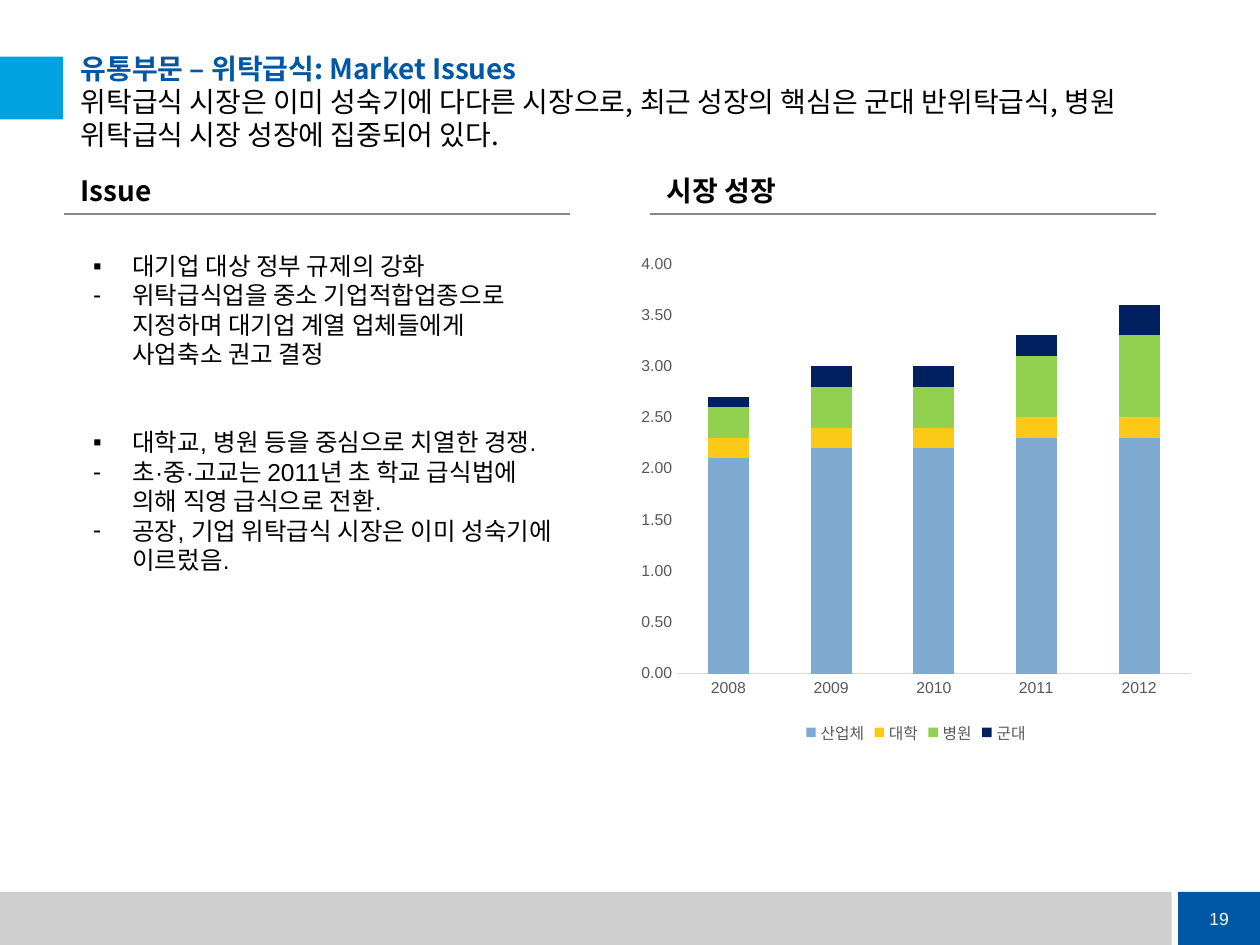
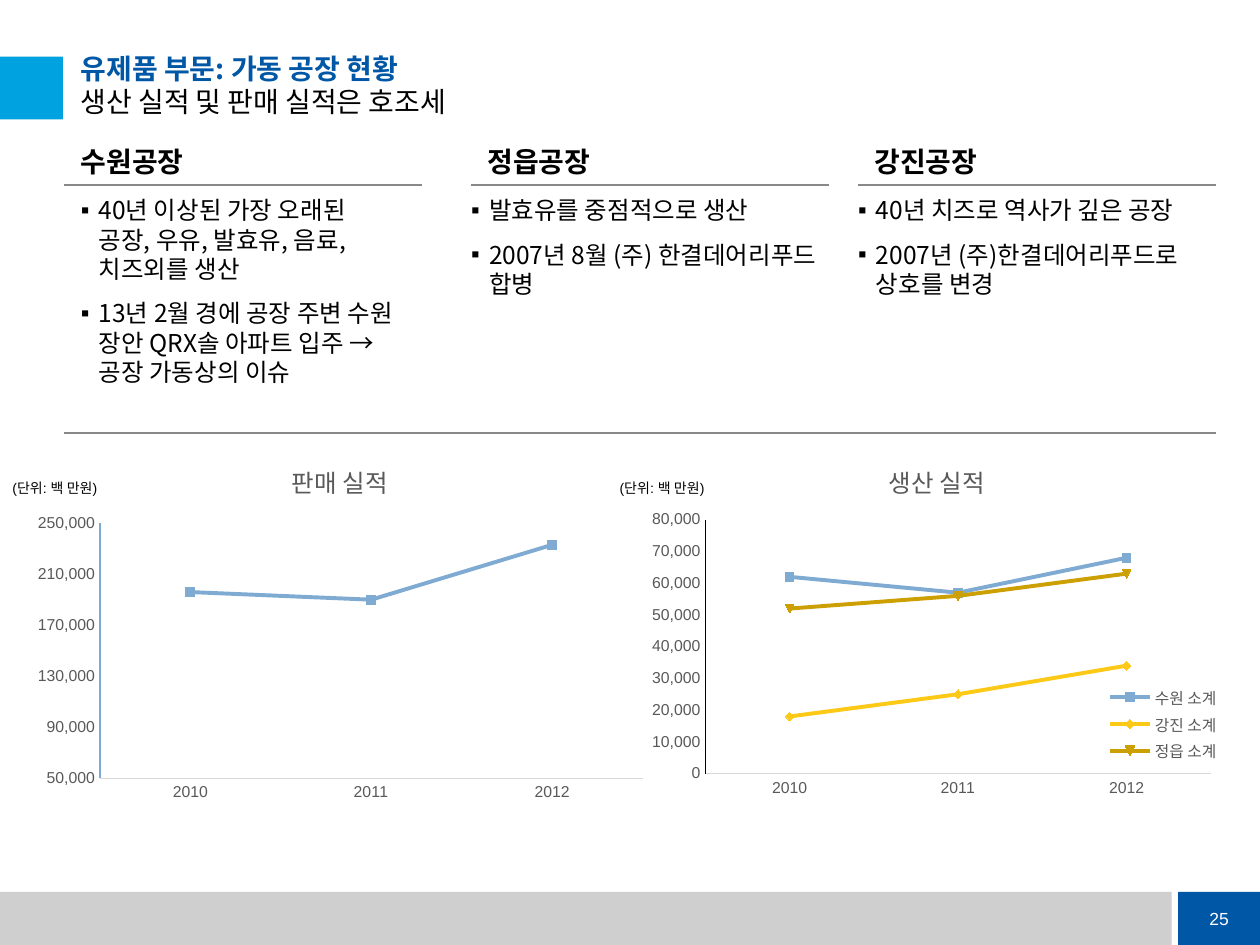
from lxml import etree
from pptx import Presentation
from pptx.chart.data import CategoryChartData
from pptx.dml.color import RGBColor
from pptx.enum.chart import XL_CHART_TYPE, XL_LEGEND_POSITION, XL_TICK_MARK
from pptx.enum.shapes import MSO_CONNECTOR, MSO_SHAPE
from pptx.enum.text import MSO_ANCHOR, PP_ALIGN
from pptx.oxml.ns import qn
from pptx.util import Cm, Pt

STACKED, LINE = XL_CHART_TYPE.COLUMN_STACKED, XL_CHART_TYPE.LINE
BOTTOM, RIGHT = XL_LEGEND_POSITION.BOTTOM, XL_LEGEND_POSITION.RIGHT
NO_TICK = XL_TICK_MARK.NONE
STRAIGHT, RECTANGLE = MSO_CONNECTOR.STRAIGHT, MSO_SHAPE.RECTANGLE
TOP, MIDDLE = MSO_ANCHOR.TOP, MSO_ANCHOR.MIDDLE
LEFT, CENTER = PP_ALIGN.LEFT, PP_ALIGN.CENTER

KOREAN, LATIN = "Noto Sans CJK KR", "Arial"
BLACK, WHITE, NAVY, SKY = "000000", "FFFFFF", "0057A6", "00A2DF"
BAND, RULE, LABEL, AXIS = "CFCFCF", "888888", "595959", "D9D9D9"
STEEL, YELLOW, GOLD, GREEN, MIDNIGHT = "7FABD2", "FCC917", "CC9F03", "92D050", "002060"
UNIT = "(단위: 백 만원)"


def color(value):
    """Turn a hex string into a colour."""
    return RGBColor.from_string(value)


class Deck:
    """Holds the shared style and the current slide."""

    def __init__(self):
        self.presentation = Presentation()
        self.presentation.slide_width = Cm(25.4)
        self.presentation.slide_height = Cm(19.05)
        self.slide = None

    def new_slide(self, number, topic, message):
        """Start a slide with its bands, page number and two-line title."""
        self.slide = self.presentation.slides.add_slide(self.presentation.slide_layouts[6])
        self.rectangle(0, 17.98, 23.62, 1.07, BAND)
        page = self.rectangle(23.75, 17.98, 1.65, 1.07, NAVY).text_frame
        page.word_wrap = False
        page.vertical_anchor = MIDDLE
        page.paragraphs[0].alignment = CENTER
        self.run(page.paragraphs[0], number, 10, WHITE, font=LATIN)
        self.rectangle(0, 1.14, 1.27, 1.27, SKY)
        title = self.text_frame(1.63, 1.04, 22.1, 1.68).paragraphs[0]
        title.line_spacing = Pt(19)
        self.run(title, topic, 16, NAVY, bold=True)
        title.add_line_break()
        self.run(title, message, 16)

    def rectangle(self, left, top, width, height, fill):
        """Add a plain filled rectangle."""
        shape = self.slide.shapes.add_shape(RECTANGLE, Cm(left), Cm(top), Cm(width), Cm(height))
        shape.shadow.inherit = False
        shape.fill.solid()
        shape.fill.fore_color.rgb = color(fill)
        shape.line.fill.background()
        return shape

    def text_frame(self, left, top, width, height, anchor=TOP, inset=(0, 0)):
        """Add a wrapping text box and return its frame."""
        box = self.slide.shapes.add_textbox(Cm(left), Cm(top), Cm(width), Cm(height))
        frame = box.text_frame
        frame.word_wrap = True
        frame.vertical_anchor = anchor
        frame.margin_left = frame.margin_right = Cm(inset[0])
        frame.margin_top = frame.margin_bottom = Cm(inset[1])
        return frame

    def run(self, paragraph, text, size, fill=BLACK, bold=False, font=KOREAN):
        """Add one styled run."""
        run = paragraph.add_run()
        run.text = text
        run.font.size = Pt(size)
        run.font.bold = bold
        run.font.color.rgb = color(fill)
        run.font.name = font
        properties = run.font._element
        etree.SubElement(properties, qn("a:ea")).set("typeface", KOREAN)

    def rule(self, left, top, width):
        """Add a horizontal grey line."""
        line = self.slide.shapes.add_connector(
            STRAIGHT, Cm(left), Cm(top), Cm(left + width), Cm(top))
        line.line.color.rgb = color(RULE)
        line.line.width = Pt(1)
        etree.SubElement(line._element.spPr, qn("a:effectLst"))

    def heading(self, left, rule_top, width, text):
        """Add a bold section heading above its rule."""
        frame = self.text_frame(left + 0.33, rule_top - 0.92, width - 0.33, 0.9, MIDDLE)
        frame.paragraphs[0].line_spacing = Pt(19)
        self.run(frame.paragraphs[0], text, 16, bold=True)
        self.rule(left, rule_top, width)

    def bullets(self, frame, items, indent, font=KOREAN):
        """Fill a frame with items of bullet, space before and lines."""
        for index, (mark, space, lines) in enumerate(items):
            paragraph = frame.add_paragraph() if index else frame.paragraphs[0]
            properties = paragraph._p.get_or_add_pPr()
            properties.set("marL", str(Cm(indent)))
            properties.set("indent", str(-Cm(indent)))
            etree.SubElement(properties, qn("a:buFont")).set("typeface", LATIN)
            etree.SubElement(properties, qn("a:buChar")).set("char", mark)
            paragraph.alignment = LEFT
            paragraph.line_spacing = Pt(16.8)
            if index:
                paragraph.space_before = Pt(space)
            for number, line in enumerate(lines):
                if number:
                    paragraph.add_line_break()
                self.run(paragraph, line, 14, font=font)

    def unit(self, left):
        """Add the unit note of a chart."""
        frame = self.text_frame(left, 9.53, 2.44, 0.61, inset=(0.25, 0.13))
        self.run(frame.paragraphs[0], UNIT, 8, font=LATIN)

    def chart(self, kind, place, categories, series, number_format, axis_line=None, title=None):
        """Add a chart from rows of name, colour and values."""
        data = CategoryChartData()
        data.categories = categories
        for name, _, values in series:
            data.add_series(name, values)
        chart = self.slide.shapes.add_chart(kind, *map(Cm, place), data).chart
        chart.font.size = Pt(9)
        chart.font.name = LATIN
        chart.font.color.rgb = color(LABEL)
        chart.has_legend = False
        chart.has_title = title is not None
        if title:
            self.run(chart.chart_title.text_frame.paragraphs[0], title, 14, LABEL, font=LATIN)
        for axis, line in ((chart.category_axis, AXIS), (chart.value_axis, axis_line)):
            axis.has_major_gridlines = False
            axis.major_tick_mark = axis.minor_tick_mark = NO_TICK
            if line:
                axis.format.line.color.rgb = color(line)
                axis.format.line.width = Pt(0.75)
            else:
                axis.format.line.fill.background()
        labels = chart.value_axis.tick_labels
        labels.number_format = number_format
        labels.number_format_is_linked = False
        plot = chart.plots[0]
        plot.vary_by_categories = False
        for item, (_, fill, _) in zip(plot.series, series):
            if kind == LINE:
                item.smooth = False
                item.marker.style = None
                item.format.line.color.rgb = color(fill)
                item.format.line.width = Pt(2.25)
            else:
                item.format.fill.solid()
                item.format.fill.fore_color.rgb = color(fill)
        return chart

    def legend(self, chart, position, overlay=False):
        """Show the legend of a chart."""
        chart.has_legend = True
        chart.legend.position = position
        chart.legend.include_in_layout = overlay
        return chart.legend

    def layout(self, element, box, inner=False):
        """Place a chart part by fractions of the chart area."""
        for old in element.findall(qn("c:layout")):
            element.remove(old)
        layout = etree.Element(qn("c:layout"))
        manual = etree.SubElement(layout, qn("c:manualLayout"))
        settings = [("layoutTarget", "inner")] if inner else []
        settings += [("xMode", "edge"), ("yMode", "edge"), *zip("xywh", map(str, box))]
        for tag, value in settings:
            etree.SubElement(manual, qn("c:" + tag)).set("val", value)
        element.insert(0 if inner else 1, layout)


def catering_slide(deck):
    """Build the contract catering slide."""
    deck.new_slide("19", "유통부문 – 위탁급식: Market Issues",
                   "위탁급식 시장은 이미 성숙기에 다다른 시장으로, 최근 성장의 핵심은 "
                   "군대 반위탁급식, 병원 위탁급식 시장 성장에 집중되어 있다.")
    for left, text in ((1.3, "Issue"), (13.11, "시장 성장")):
        deck.heading(left, 4.32, 10.2, text)
    issues = [
        ("▪", 0, ["대기업 대상 정부 규제의 강화"]),
        ("-", 0, ["위탁급식업을 중소 기업적합업종으로", "지정하며 대기업 계열 업체들에게",
                  "사업축소 권고 결정"]),
        ("▪", 33.6, ["대학교, 병원 등을 중심으로 치열한 경쟁."]),
        ("-", 0, ["초·중·고교는 2011년 초 학교 급식법에", "의해 직영 급식으로 전환."]),
        ("-", 0, ["공장, 기업 위탁급식 시장은 이미 성숙기에 이르렀음."]),
    ]
    frame = deck.text_frame(1.63, 4.93, 10.26, 6.83, inset=(0.25, 0.13))
    deck.bullets(frame, issues, 0.79, LATIN)
    growth = [
        ("산업체", STEEL, (2.1, 2.2, 2.2, 2.3, 2.3)),
        ("대학", YELLOW, (0.2, 0.2, 0.2, 0.2, 0.2)),
        ("병원", GREEN, (0.3, 0.4, 0.4, 0.6, 0.8)),
        ("군대", MIDNIGHT, (0.1, 0.2, 0.2, 0.2, 0.3)),
    ]
    chart = deck.chart(STACKED, (12.7, 4.93, 11.53, 10.16),
                       ("2008", "2009", "2010", "2011", "2012"), growth, "0.00")
    chart.plots[0].gap_width = 150
    chart.plots[0].overlap = 100
    chart.value_axis.maximum_scale = 4
    chart.value_axis.major_unit = 0.5
    deck.legend(chart, BOTTOM)


def dairy_slide(deck):
    """Build the dairy plant slide."""
    deck.new_slide("25", "유제품 부문: 가동 공장 현황", "생산 실적 및 판매 실적은 호조세")
    plants = [
        (1.3, 0.33, "수원공장", (["40년 이상된 가장 오래된", "공장, 우유, 발효유, 음료, 치즈외를 생산"],
                              ["13년 2월 경에 공장 주변 수원 장안 QRX솔 아파트 입주 → 공장 가동상의 이슈"])),
        (9.5, 0, "정읍공장", (["발효유를 중점적으로 생산"], ["2007년 8월 (주) 한결데어리푸드 합병"])),
        (17.3, 0, "강진공장", (["40년 치즈로 역사가 깊은 공장"],
                            ["2007년 (주)한결데어리푸드로 상호를 변경"])),
    ]
    for left, shift, name, facts in plants:
        deck.heading(left, 3.73, 7.21, name)
        frame = deck.text_frame(left + shift, 3.94, 7.21 - shift, 3.63)
        deck.bullets(frame, [("▪", 8.4, lines) for lines in facts], 0.36)
    years = ("2010", "2011", "2012")
    production = [
        ("수원 소계", STEEL, (62000, 57000, 68000)),
        ("강진 소계", YELLOW, (18000, 25000, 34000)),
        ("정읍 소계", GOLD, (52000, 56000, 63000)),
    ]
    chart = deck.chart(LINE, (12.9, 8.92, 11.99, 7.42), years, production, "#,##0",
                       BLACK, "생산 실적")
    deck.layout(chart.plots[0]._element.getparent(), (0.11, 0.21, 0.85, 0.69), inner=True)
    legend = deck.legend(chart, RIGHT, overlay=True)
    deck.layout(legend._element, (0.78, 0.65, 0.2, 0.23))
    deck.rule(1.3, 8.73, 23.21)
    sales = [("판매 실적", STEEL, (196000, 190000, 233000))]
    chart = deck.chart(LINE, (0.51, 8.92, 12.7, 7.39), years, sales, "#,##0", STEEL, "판매 실적")
    chart.value_axis.minimum_scale = 50000
    chart.value_axis.maximum_scale = 250000
    chart.value_axis.major_unit = 40000
    for left in (0, 12.24):
        deck.unit(left)


def main():
    """Build and save the presentation."""
    deck = Deck()
    catering_slide(deck)
    dairy_slide(deck)
    deck.presentation.save("out.pptx")


if __name__ == "__main__":
    main()
